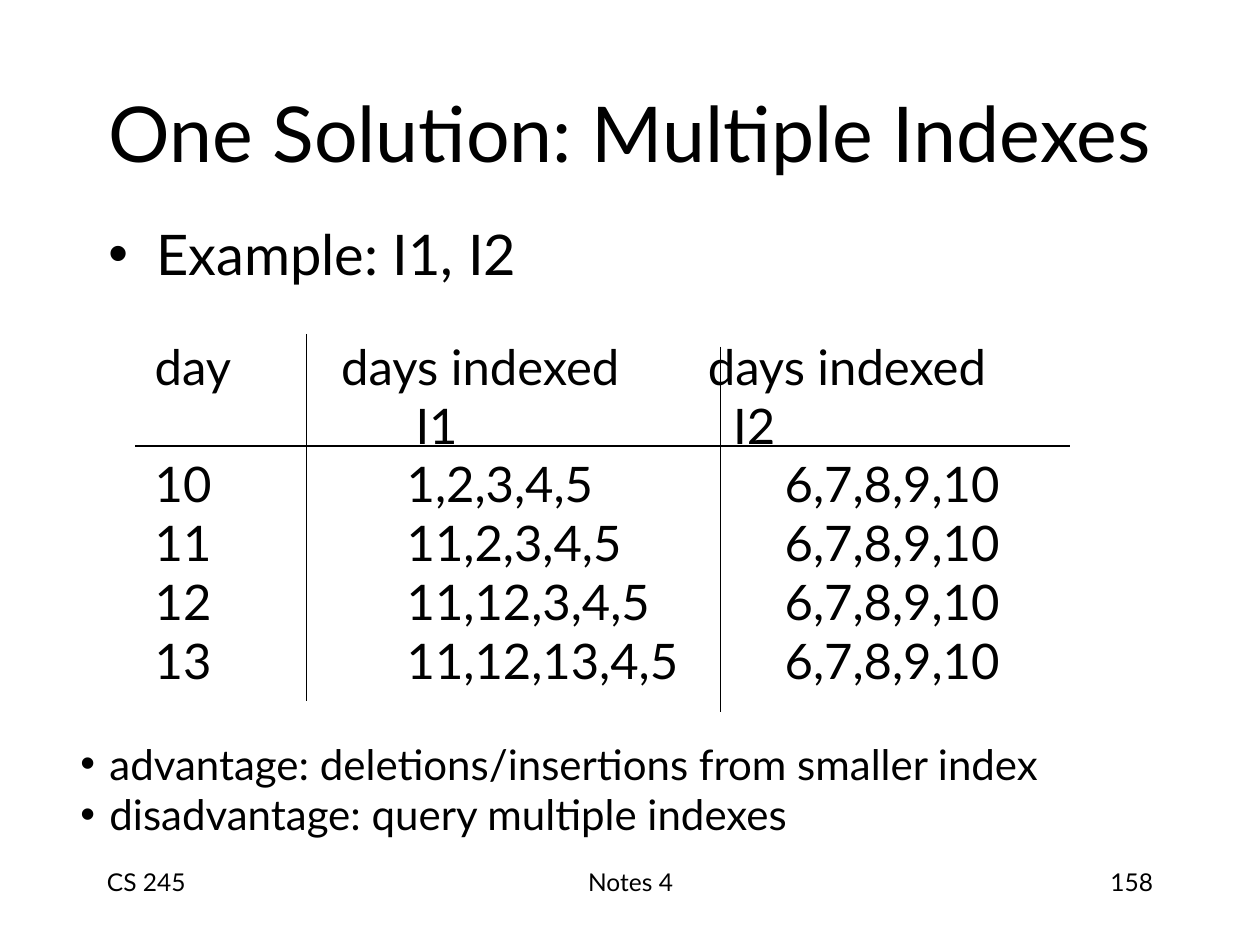
"""Build the slide on splitting an index over days into multiple indexes."""
from lxml import etree
from pptx import Presentation
from pptx.dml.color import RGBColor
from pptx.enum import shapes, text
from pptx.oxml import ns
from pptx.util import Inches, Pt

BLACK = RGBColor(0, 0, 0)
FONT = "Lato"
ALIGN = text.PP_ALIGN


def write(frame, lines, size, align=ALIGN.LEFT, bullet_indent=None, tab_stops=None):
    frame.text = "\n".join(lines)
    frame.auto_size = text.MSO_AUTO_SIZE.NONE
    for number, paragraph in enumerate(frame.paragraphs):
        props = paragraph._p.get_or_add_pPr()
        if bullet_indent:
            props.set("marL", str(Inches(bullet_indent)))
            props.set("indent", str(-Inches(bullet_indent)))
            etree.SubElement(props, ns.qn("a:buFont"), typeface="Arial")
            etree.SubElement(props, ns.qn("a:buChar"), char="•")
        if tab_stops:
            tabs = etree.SubElement(props, ns.qn("a:tabLst"))
            for stop in tab_stops[number]:
                etree.SubElement(tabs, ns.qn("a:tab"), pos=str(Inches(stop)), algn="l")
        paragraph.alignment = align
        paragraph.space_before = Pt(0)
        for run in paragraph.runs:
            run.font.size = Pt(size)
            run.font.name = FONT
            run.font.color.rgb = BLACK


def add_text(left, top, width, height, lines, size, wrap=True, **layout):
    frame = slide.shapes.add_textbox(
        Inches(left), Inches(top), Inches(width), Inches(height)).text_frame
    write(frame, lines, size, **layout)
    frame.word_wrap = wrap


deck = Presentation()
deck.slide_width, deck.slide_height = Inches(10), Inches(7.5)
slide = deck.slides.add_slide(deck.slide_layouts[1])

for left, width, label, align in [
    (0.75, 2.08, "CS 245", ALIGN.LEFT),
    (3.42, 3.17, "Notes 4", ALIGN.CENTER),
    (7.17, 2.08, "158", ALIGN.RIGHT),
]:
    add_text(left, 6.83, width, 0.5, [label], 14, align=align)

title = slide.shapes.title
title.left, title.top = Inches(0.75), Inches(0.67)
title.width, title.height = Inches(8.5), Inches(0.75)
write(title.text_frame, ["One Solution: Multiple Indexes"], 44, align=ALIGN.CENTER)
title.text_frame.vertical_anchor = text.MSO_ANCHOR.MIDDLE

example = slide.placeholders[1]
example.left, example.top = Inches(0.76), Inches(1.69)
example.width, example.height = Inches(8.5), Inches(0.64)
write(example.text_frame, ["Example: I1, I2"], 32, bullet_indent=0.38)

schedule = [
    ("day", "days indexed", "days indexed"),
    ("", "I1", "I2"),
    ("10", "1,2,3,4,5", "6,7,8,9,10"),
    ("11", "11,2,3,4,5", "6,7,8,9,10"),
    ("12", "11,12,3,4,5", "6,7,8,9,10"),
    ("13", "11,12,13,4,5", "6,7,8,9,10"),
]
column_stops = [(1.48, 4.39), (2.07, 4.59)] + [(2, 5)] * 4
add_text(1.13, 2.62, 7.27, 2.9, ["\t".join(row) for row in schedule], 28,
         wrap=False, tab_stops=column_stops)

for x1, y1, x2, y2 in [
    (8.49, 3.54, 1.07, 3.54),
    (2.43, 2.65, 2.43, 5.56),
    (5.72, 2.75, 5.72, 5.65),
]:
    rule = slide.shapes.add_connector(
        shapes.MSO_CONNECTOR.STRAIGHT, Inches(x1), Inches(y1), Inches(x2), Inches(y2))
    rule.line.color.rgb = BLACK
    rule.line.width = Pt(0.75)
    etree.SubElement(rule._element.spPr, ns.qn("a:effectLst"))

add_text(0.54, 5.81, 8.31, 0.9, [
    "advantage: deletions/insertions from smaller index",
    "disadvantage: query multiple indexes",
], 24, wrap=False, bullet_indent=0.23)

deck.save("out.pptx")
